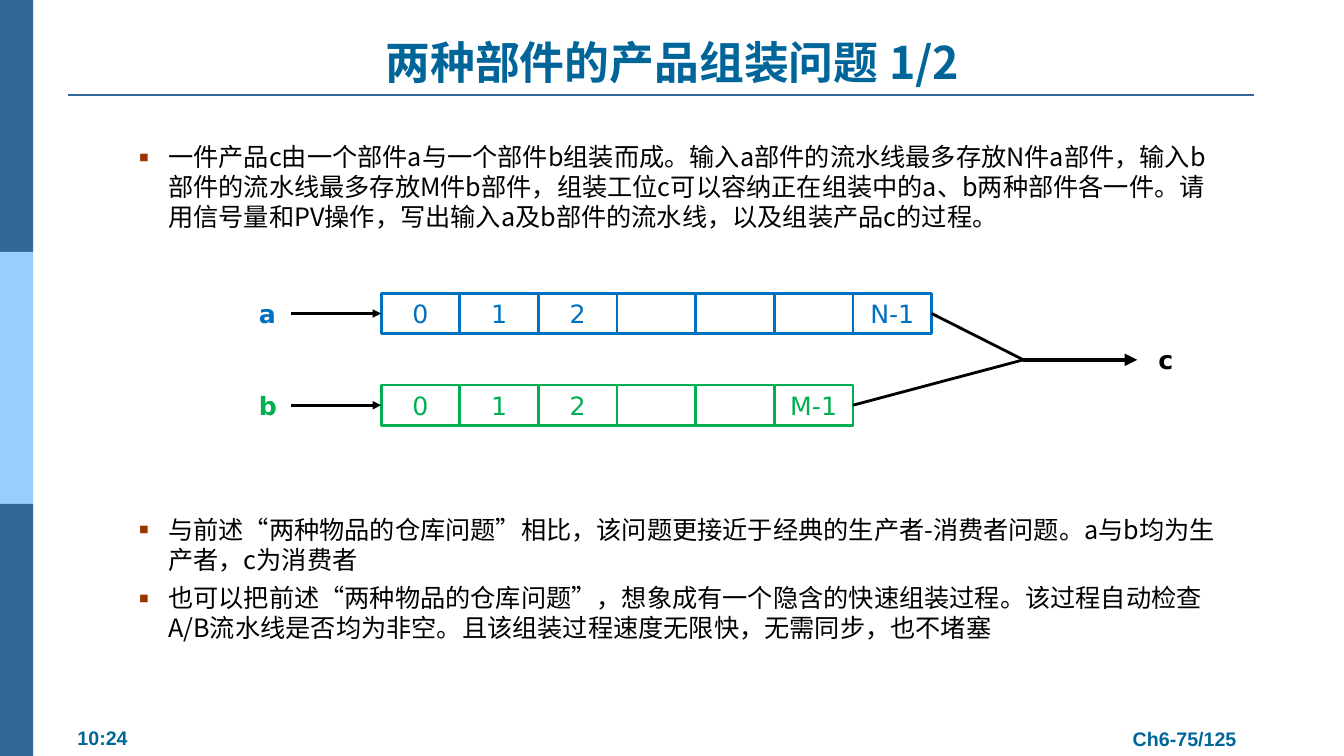
import pptx
import pptx.util
import pptx.dml.color
import pptx.enum.text
import pptx.enum.shapes
import pptx.oxml.ns
import lxml.etree

Inches, Pt = pptx.util.Inches, pptx.util.Pt
ALIGN, ANCHOR = pptx.enum.text.PP_ALIGN, pptx.enum.text.MSO_ANCHOR
qn = pptx.oxml.ns.qn

CJK, SANS, ARIAL = "Noto Sans CJK SC", "DejaVu Sans", "Arial"
BLACK, NAVY, SKY, TEAL = "000000", "336699", "99CCFF", "006699"
BLUE, GREEN, RUST = "0070C0", "00B050", "993300"


def rgb(value):
    return pptx.dml.color.RGBColor.from_string(value)


def child(parent, tag, **attrs):
    return lxml.etree.SubElement(parent, qn(tag), attrs)


class Deck:
    def __init__(self):
        self.prs = pptx.Presentation()
        self.prs.slide_width, self.prs.slide_height = Inches(13.33), Inches(7.5)
        self.slide = self.prs.slides.add_slide(self.prs.slide_layouts[5])

    def add_text(self, p, text, size, font, color, bold=False):
        r = p.add_run()
        r.text = text
        style = {"size": Pt(size), "name": font, "bold": bold}
        for key, value in style.items():
            setattr(r.font, key, value)
        r.font.color.rgb = rgb(color)
        child(r._r.get_or_add_rPr(), "a:ea", typeface=font)

    def frame(self, sp, **values):
        base = {"word_wrap": True, "margin_left": Inches(0.1),
                "margin_right": Inches(0.1), "margin_top": Inches(0.05),
                "margin_bottom": Inches(0.05), "vertical_anchor": ANCHOR.TOP}
        for key, value in {**base, **values}.items():
            setattr(sp.text_frame, key, value)
        return sp.text_frame

    def title(self, text):
        sp = self.slide.shapes.title
        place = {"left": 0.67, "top": 0.26, "width": 12, "height": 0.63}
        for key, value in place.items():
            setattr(sp, key, Inches(value))
        tf = self.frame(sp, vertical_anchor=ANCHOR.BOTTOM, margin_bottom=Inches(0.01),
                        auto_size=pptx.enum.text.MSO_AUTO_SIZE.NONE)
        p = tf.paragraphs[0]
        p.alignment = ALIGN.CENTER
        self.add_text(p, text, 32, CJK, TEAL, True)

    def rect(self, x, y, w, h, fill=None, line=None, text=""):
        sp = self.slide.shapes.add_shape(
            pptx.enum.shapes.MSO_SHAPE.RECTANGLE, *map(Inches, (x, y, w, h)))
        sp.shadow.inherit = False
        if fill:
            sp.fill.solid()
            sp.fill.fore_color.rgb = rgb(fill)
        else:
            sp.fill.background()
        if line:
            sp.line.color.rgb = rgb(line)
            sp.line.width = Pt(2)
        else:
            sp.line.fill.background()
        if text:
            tf = self.frame(sp, vertical_anchor=ANCHOR.MIDDLE)
            p = tf.paragraphs[0]
            p.alignment = ALIGN.CENTER
            self.add_text(p, text, 18, SANS, line)

    def label(self, x, y, w, h, text, color, size=18, font=SANS,
              align=ALIGN.LEFT, wrap=True):
        sp = self.slide.shapes.add_textbox(*map(Inches, (x, y, w, h)))
        p = self.frame(sp, word_wrap=wrap).paragraphs[0]
        p.alignment = align
        self.add_text(p, text, size, font, color, True)

    def bullets(self, x, y, w, h, items):
        sp = self.slide.shapes.add_textbox(*map(Inches, (x, y, w, h)))
        tf = self.frame(sp)
        for i, text in enumerate(items):
            p = tf.paragraphs[0] if i == 0 else tf.add_paragraph()
            p.line_spacing = Pt(21.45)
            p.space_before = Pt(6.3 if i else 0)
            pPr = p._p.get_or_add_pPr()
            pPr.set("marL", str(Inches(0.37)))
            pPr.set("indent", str(Inches(-0.37)))
            child(child(pPr, "a:buClr"), "a:srgbClr", val=RUST)
            child(pPr, "a:buSzPct", val="110000")
            child(pPr, "a:buFont", typeface=CJK)
            child(pPr, "a:buChar", char="▪")
            self.add_text(p, text, 18, CJK, BLACK)

    def line(self, start, end, color=BLACK, width=2, arrow=False):
        c = self.slide.shapes.add_connector(
            pptx.enum.shapes.MSO_CONNECTOR.STRAIGHT, *map(Inches, start + end))
        c.line.color.rgb = rgb(color)
        c.line.width = Pt(width)
        spPr = c._element.spPr
        if arrow:
            child(spPr.find(qn("a:ln")), "a:tailEnd", type="triangle")
        child(spPr, "a:effectLst")


def main():
    deck = Deck()
    for i, fill in enumerate((NAVY, SKY, NAVY)):
        deck.rect(0, 2.5 * i, 0.33, 2.5, fill=fill)
    deck.line((0.67, 0.94), (12.44, 0.94), NAVY, 1.5)
    deck.label(11.12, 7.16, 1.26, 0.34, "Ch6-75/125", TEAL, 14, ARIAL,
               ALIGN.CENTER, False)
    deck.label(0.67, 7.15, 0.7, 0.34, "10:24", TEAL, 14, ARIAL, wrap=False)

    deck.title("两种部件的产品组装问题 1/2")
    deck.bullets(1.2, 1.35, 11.01, 1.05, [
        "一件产品c由一个部件a与一个部件b组装而成。输入a部件的流水线最多存放N件a部件，"
        "输入b部件的流水线最多存放M件b部件，组装工位c可以容纳正在组装中的a、b两种部件"
        "各一件。请用信号量和PV操作，写出输入a及b部件的流水线，以及组装产品c的过程。"])
    deck.bullets(1.2, 5.05, 11.01, 1.48, [
        "与前述“两种物品的仓库问题”相比，该问题更接近于经典的生产者-消费者问题。"
        "a与b均为生产者，c为消费者",
        "也可以把前述“两种物品的仓库问题”，想象成有一个隐含的快速组装过程。该过程自动检查"
        "A/B流水线是否均为非空。且该组装过程速度无限快，无需同步，也不堵塞"])

    left, cell_w, cell_h = 3.78, 0.78, 0.4
    join = (10.15, 3.57)
    lanes = [("a", BLUE, 2.91, ["0", "1", "2", "", "", "", "N-1"]),
             ("b", GREEN, 3.82, ["0", "1", "2", "", "", "M-1"])]
    for name, color, top, cells in lanes:
        middle = top + cell_h / 2
        for i, text in enumerate(cells):
            deck.rect(left + i * cell_w, top, cell_w, cell_h, line=color, text=text)
        deck.label(2.47, top, 0.42, 0.4, name, color)
        deck.line((2.89, middle), (left, middle), arrow=True)
        deck.line((left + len(cells) * cell_w, middle), join)
    deck.line(join, (11.28, 3.57), width=3, arrow=True)
    deck.label(11.39, 3.37, 0.44, 0.4, "c", BLACK)

    deck.prs.save("out.pptx")


if __name__ == "__main__":
    main()
